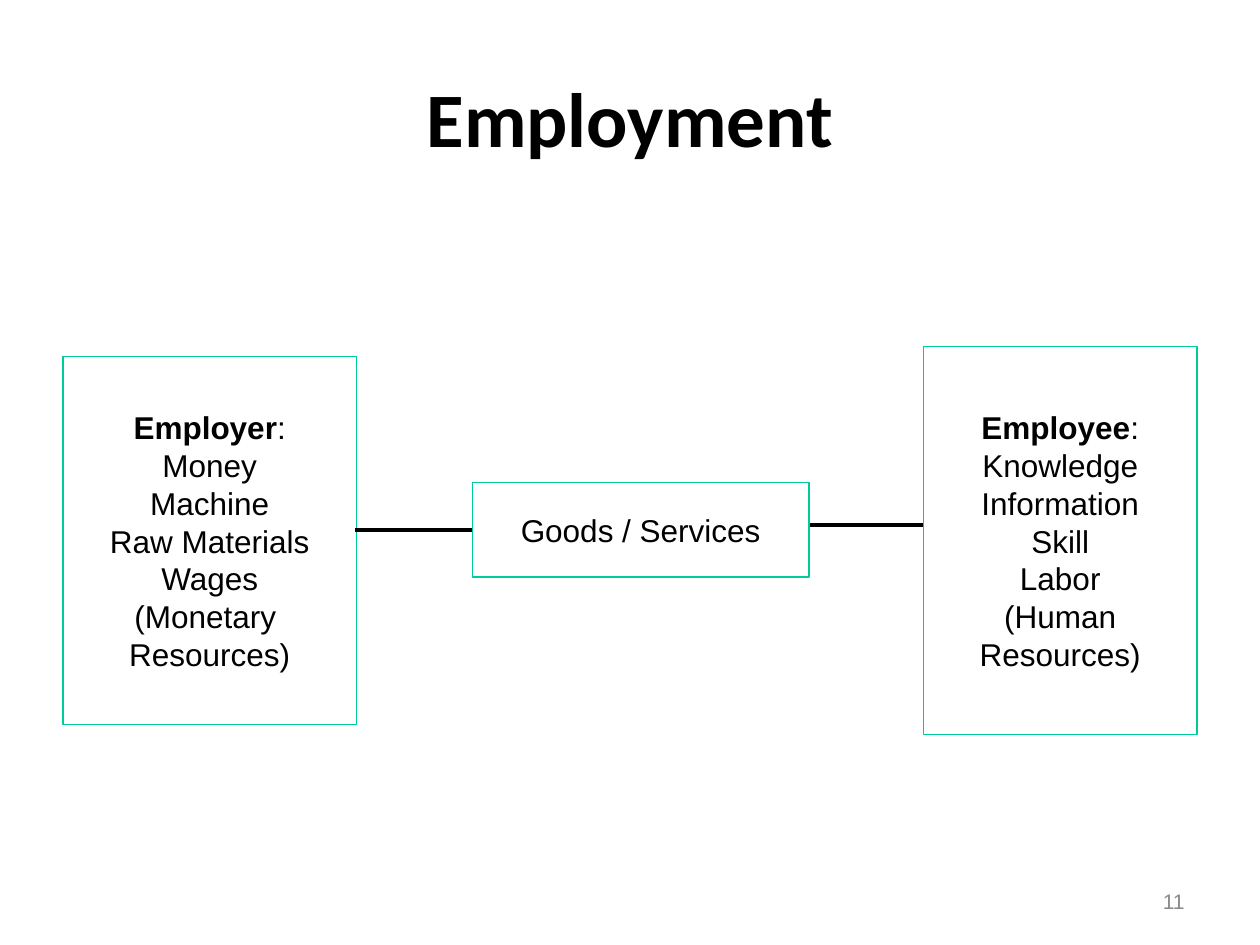
"""Build the Employment slide linking employer and employee through goods and services."""
import pptx
import pptx.dml.color
import pptx.enum.shapes
import pptx.enum.text
import pptx.oxml.ns
import pptx.util
from lxml import etree

Inches = pptx.util.Inches
Pt = pptx.util.Pt
RGBColor = pptx.dml.color.RGBColor
ALIGN = pptx.enum.text.PP_ALIGN
MIDDLE = pptx.enum.text.MSO_ANCHOR.MIDDLE
qn = pptx.oxml.ns.qn

BLACK = RGBColor(0x00, 0x00, 0x00)
WHITE = RGBColor(0xFF, 0xFF, 0xFF)
GREEN = RGBColor(0x00, 0xCC, 0x99)
GRAY = RGBColor(0x89, 0x89, 0x89)

EMPLOYER = ["Money", "Machine", "Raw Materials", "Wages", "(Monetary ", "Resources)"]
EMPLOYEE = ["Knowledge", "Information", "Skill", "Labor", "(Human", "Resources)"]


def add_run(p, text, size, color=BLACK, bold=False, font="Arial"):
    r = p.add_run()
    r.text = text
    r.font.name = font
    r.font.size = Pt(size)
    r.font.bold = bold
    r.font.color.rgb = color


def add_title(s, text):
    sp = s.shapes.title
    sp.left, sp.top, sp.width, sp.height = Inches(0.5), Inches(0.3), Inches(9), Inches(1.25)
    sp.text_frame.vertical_anchor = MIDDLE
    p = sp.text_frame.paragraphs[0]
    p.alignment = ALIGN.CENTER
    add_run(p, text, 44, bold=True, font="Calibri")


def add_page_number(s, text):
    sp = s.shapes.add_textbox(Inches(7.17), Inches(6.95), Inches(2.33), Inches(0.4))
    tf = sp.text_frame
    tf.word_wrap = True
    tf.vertical_anchor = MIDDLE
    p = tf.paragraphs[0]
    p.alignment = ALIGN.RIGHT
    add_run(p, text, 12, GRAY)


def add_box(s, left, top, width, height, lines, heading=None):
    sp = s.shapes.add_shape(pptx.enum.shapes.MSO_SHAPE.RECTANGLE,
                            Inches(left), Inches(top), Inches(width), Inches(height))
    sp.shadow.inherit = False
    sp.fill.solid()
    sp.fill.fore_color.rgb = WHITE
    sp.line.color.rgb = GREEN
    sp.line.width = Pt(1)
    tf = sp.text_frame
    tf.word_wrap = False
    tf.vertical_anchor = MIDDLE
    p = tf.paragraphs[0]
    if heading:
        add_run(p, heading, 18, bold=True)
        add_run(p, ":", 18)
        p.alignment = ALIGN.CENTER
        p = tf.add_paragraph()
    for i, line in enumerate(lines):
        if i:
            p = tf.add_paragraph()
        p.alignment = ALIGN.CENTER
        add_run(p, line, 18)


def add_arrow(s, left, right, y):
    sp = s.shapes.add_connector(pptx.enum.shapes.MSO_CONNECTOR.STRAIGHT,
                                Inches(left), Inches(y), Inches(right), Inches(y))
    sp.line.color.rgb = BLACK
    sp.line.width = Pt(2.25)
    etree.SubElement(sp.line._get_or_add_ln(), qn("a:tailEnd"), type="stealth")
    etree.SubElement(sp._element.spPr, qn("a:effectLst"))


def main():
    prs = pptx.Presentation()
    prs.slide_width, prs.slide_height = Inches(10), Inches(7.5)
    s = prs.slides.add_slide(prs.slide_layouts[5])
    add_title(s, "Employment")
    add_page_number(s, "11")
    add_box(s, 0.5, 2.83, 2.33, 2.92, EMPLOYER, "Employer")
    add_arrow(s, 2.82, 3.94, 4.21)
    add_box(s, 3.75, 3.83, 2.67, 0.75, ["Goods / Services"])
    add_arrow(s, 6.43, 7.55, 4.17)
    add_box(s, 7.33, 2.75, 2.17, 3.08, EMPLOYEE, "Employee")
    prs.save("out.pptx")


if __name__ == "__main__":
    main()
